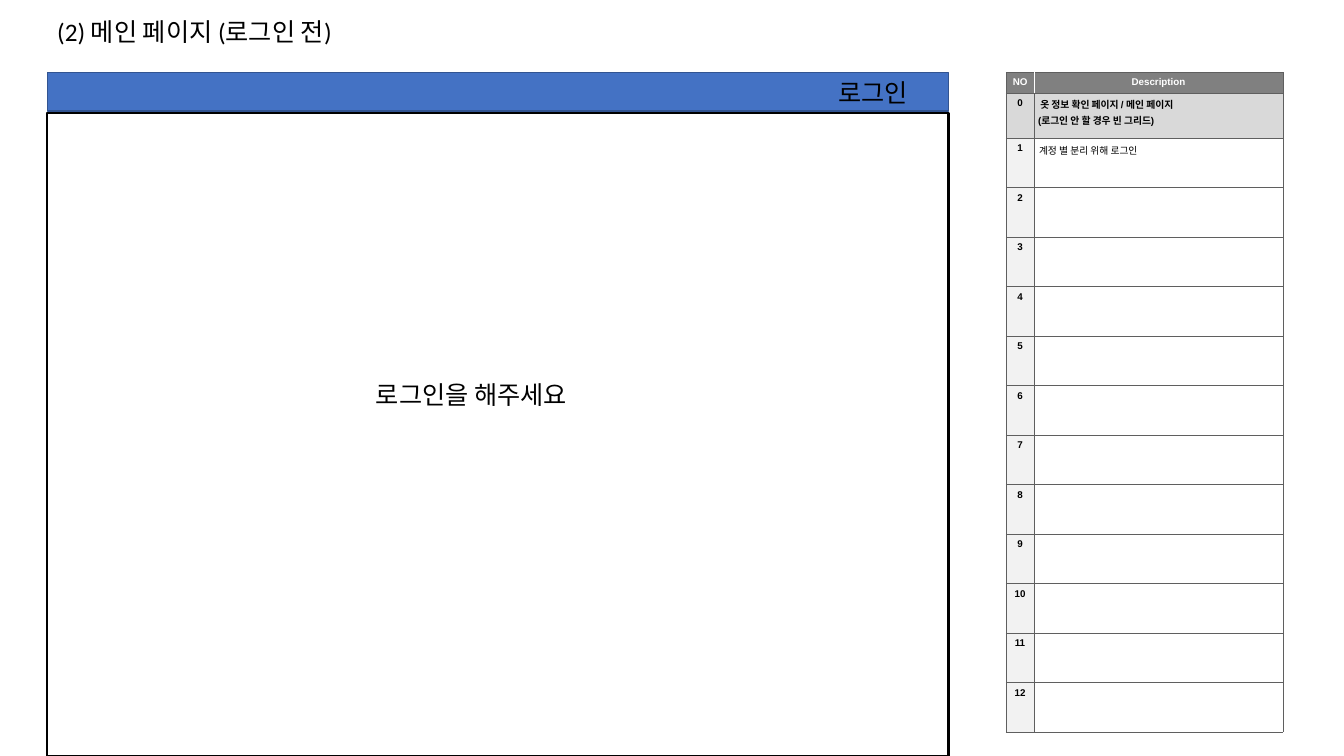
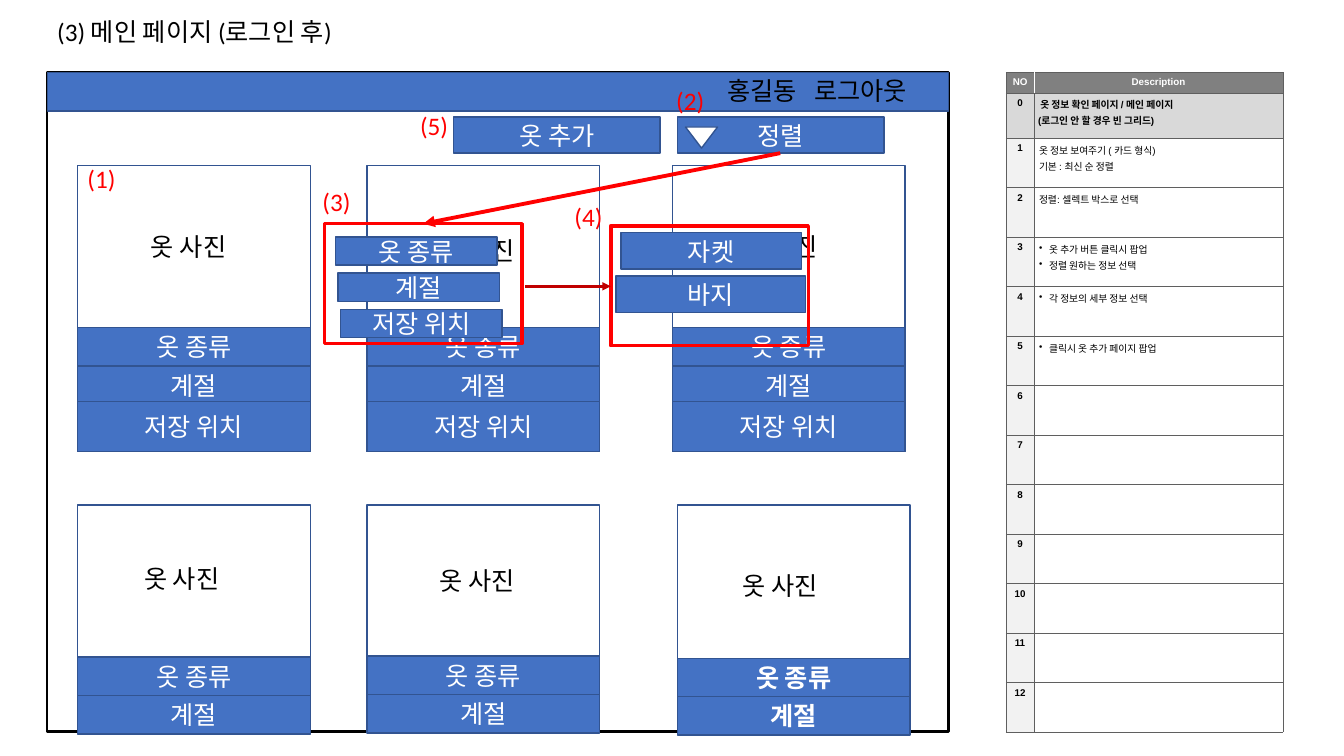
from lxml import etree
from pptx import Presentation
from pptx import util as u
from pptx.dml.color import RGBColor
from pptx.enum import shapes, text
from pptx.oxml import ns

Pt = u.Pt
KIND = shapes.MSO_SHAPE
COLOURS = {
    "white": "FFFFFF", "black": "000000", "blue": "4472C4", "navy": "325491",
    "red": "FF0000", "dark red": "C00000", "rule": "5F5F5F",
    "header": "808080", "summary": "D9D9D9", "number": "F2F2F2",
}
RGB = {name: RGBColor.from_string(value) for name, value in COLOURS.items()}
# fill, line, line width
LOOKS = {
    "page": ("white", "black", 1.75),
    "bar": ("blue", "navy", 1),
    "card": (None, "navy", 1),
    "popup": (None, "red", 2.5),
    "marker": ("white", "navy", 1),
}
BODY = {"name": "Calibri", "size": Pt(18)}
SMALL = {"name": "Arial", "size": Pt(7)}


def write(paragraph, words, style, colour):
    """Put words in a paragraph with the given font values."""
    run = paragraph.add_run()
    run.text = words
    for key, value in style.items():
        setattr(run.font, key, value)
    run.font.color.rgb = RGB[colour]


def add(slide, look, place, words="", colour="white", bold=False, kind=KIND.RECTANGLE):
    """Add a shape with a named look, or a text box when look is None."""
    area = [Pt(value) for value in place]
    if look is None:
        part = slide.shapes.add_textbox(*area)
        part.text_frame.auto_size = text.MSO_AUTO_SIZE.SHAPE_TO_FIT_TEXT
    else:
        part = slide.shapes.add_shape(kind, *area)
        part.shadow.inherit = False
        fill, line, width = LOOKS[look]
        if fill:
            part.fill.solid()
            part.fill.fore_color.rgb = RGB[fill]
        else:
            part.fill.background()
        part.line.color.rgb = RGB[line]
        part.line.width = Pt(width)
        part.text_frame.vertical_anchor = text.MSO_ANCHOR.MIDDLE
    part.text_frame.word_wrap = True
    if words:
        paragraph = part.text_frame.paragraphs[0]
        paragraph.alignment = text.PP_ALIGN.CENTER if look else text.PP_ALIGN.LEFT
        write(paragraph, words, {**BODY, "bold": bold}, colour)
    return part


deck = Presentation()
deck.slide_width, deck.slide_height = Pt(960), Pt(540)

LEFT, TOP, WIDTH, BAR, LINE = 33.8, 51.8, 643.7, 27.4, 28.8
SUMMARY = [" 옷 정보 확인 페이지 / 메인 페이지", "(로그인 안 할 경우 빈 그리드)"]
# title, page top, page height, descriptions by number, bulleted numbers
PAGES = [
    ("(2) 메인 페이지 (로그인 전)", 80.6, 459.4, {1: ["계정 별 분리 위해 로그인"]}, ()),
    ("(3) 메인 페이지 (로그인 후)", TOP, 470.9, {
        1: ["옷 정보 보여주기 ( 카드 형식)", "기본 : 최신 순 정렬"],
        2: ["정렬: 셀렉트 박스로 선택"],
        3: ["옷 추가 버튼 클릭시 팝업", "정렬 원하는 정보 선택"],
        4: ["각 정보의 세부 정보 선택"],
        5: ["클릭시 옷 추가 페이지 팝업"],
    }, (3, 4, 5)),
]

# Shared parts: title, page frame, top bar and description table
slides = []
for title, page_top, page_height, descriptions, bulleted in PAGES:
    slide = deck.slides.add_slide(deck.slide_layouts[6])
    slides.append(slide)
    add(slide, None, (LEFT, 7.9, 352.8, LINE), title, "black")
    add(slide, "page", (LEFT, page_top, WIDTH, page_height))
    add(slide, "bar", (LEFT, TOP, WIDTH, BAR))

    rows = [("NO", ["Description"]), ("0", SUMMARY)]
    rows += [(str(n), descriptions.get(n, [])) for n in range(1, 13)]
    heights = [15, 31.6] + [35.4] * 12
    table = slide.shapes.add_table(
        len(rows), 2, Pt(718.6), Pt(TOP), Pt(197.8), Pt(sum(heights))).table
    table.first_row = table.horz_banding = False
    for column, width in zip(table.columns, (20, 177.8)):
        column.width = Pt(width)
    for r, (number, lines) in enumerate(rows):
        table.rows[r].height = Pt(heights[r])
        for c, content in enumerate(([number], lines)):
            cell = table.cell(r, c)
            inset = Pt(2.9 if r < 2 else 3.6)
            for side in ("left", "right", "top", "bottom"):
                setattr(cell, f"margin_{side}", inset)

            properties = cell._tc.get_or_add_tcPr()
            for side in "LRTB":
                divider = r == 0 and side == "RL"[c]
                border = etree.SubElement(
                    properties, ns.qn(f"a:ln{side}"),
                    w=str(Pt(0.5 if divider else 0.25)))
                paint = etree.SubElement(border, ns.qn("a:solidFill"))
                etree.SubElement(paint, ns.qn("a:srgbClr"),
                                 val=COLOURS["white" if divider else "rule"])

            cell.fill.solid()
            shade = ("header", "summary")[r] if r < 2 else ("number", "white")[c]
            cell.fill.fore_color.rgb = RGB[shade]

            for i, words in enumerate(content):
                frame = cell.text_frame
                paragraph = frame.add_paragraph() if i else frame.paragraphs[0]
                paragraph.space_before = Pt(1.4)
                if c == 0 or r == 0:
                    paragraph.alignment = text.PP_ALIGN.CENTER
                elif r - 1 in bulleted:
                    layout = paragraph._p.get_or_add_pPr()
                    layout.set("marL", str(Pt(7.2)))
                    layout.set("indent", str(-Pt(7.2)))
                    etree.SubElement(layout, ns.qn("a:buChar"), char="•")
                write(paragraph, words, {**SMALL, "bold": c == 0 or r < 2},
                      "black" if r else "white")

before, after = slides

# Before login
add(before, None, (591.8, TOP, 71.3, LINE), "로그인", "black")
add(before, None, (261.4, 267.1, 429.8, LINE), "로그인을 해주세요", "black")

# After login: account names in the bar
add(after, None, (512.6, 50.4, 71.3, LINE), "홍길동", "black")
add(after, None, (574.6, 50.4, 103.7, LINE), "로그아웃", "black")

# Clothes cards: left, top, height, first field top, caption place, bold
FIELDS = [("옷 종류", 0, BAR), ("계절", BAR, BAR), ("저장 위치", 52.6, 36)]
CARD = 166.3
CARDS = [
    (55.4, 118.1, 204.5, 234, (100.8, 162), False),
    (262.1, 118.1, 204.5, 234, (306.7, 164.2), False),
    (480.2, 118.1, 204.5, 234, (523.4, 162), False),
    (55.4, 360.7, 161.3, 469.4, (95.8, 398.9), False),
    (262.1, 360.7, 161.3, 468.7, (306.7, 400.3), False),
    (483.8, 360.7, 161.3, 470.2, (523.4, 403.9), True),
]
for left, top, height, field_top, caption, bold in CARDS:
    add(after, "card", (left, top, CARD, height))
    shown = FIELDS if height > 200 else FIELDS[:2]
    for field, offset, field_height in shown:
        add(after, "bar", (left, field_top + offset, CARD, field_height), field, bold=bold)
    add(after, None, (*caption, 97.9, LINE), "옷 사진", "black")

# Sort and add buttons
add(after, "bar", (483.8, 83.5, 147.6, 25.9), "정렬")
add(after, "marker", (489.6, 90.7, 23, 15.1), kind=KIND.ISOSCELES_TRIANGLE).rotation = 180
add(after, "bar", (324, 83.5, 147.6, 25.9), "옷 추가")

# Popups: sort fields, then their options
for i, (field, _, _) in enumerate(FIELDS):
    add(after, "bar", (239.8 + 1.8 * i, 169.2 + 25.9 * i, 115.2, 20.2), field)
add(after, "popup", (231.8, 159.8, 141.1, 85.7))
add(after, "popup", (436.3, 161.3, 141.1, 85.7))

ARROWS = [
    ((557.3, 109.4), (302.4, 159.8), "red", 2.75),
    ((375.1, 204.5), (436.3, 204.5), "dark red", 2),
]
for start, end, colour, width in ARROWS:
    arrow = after.shapes.add_connector(
        shapes.MSO_CONNECTOR.STRAIGHT, *[Pt(value) for value in start + end])
    arrow.line.color.rgb = RGB[colour]
    arrow.line.width = Pt(width)
    etree.SubElement(arrow.line._get_or_add_ln(), ns.qn("a:tailEnd"), type="triangle")
    etree.SubElement(arrow._element.spPr, ns.qn("a:effectLst"))

add(after, "bar", (443.5, 166.3, 128.9, 25.9), "자켓")
add(after, "bar", (439.9, 197.3, 135.4, 25.9), "바지")

# Reference numbers
MARKS = [(55.4, 113), (475.9, 57.6), (223.2, 129.6), (403.2, 140.4), (293, 75.6)]
for number, place in enumerate(MARKS, 1):
    add(after, None, (*place, 54, LINE), f"({number})", "red")

deck.save("out.pptx")
